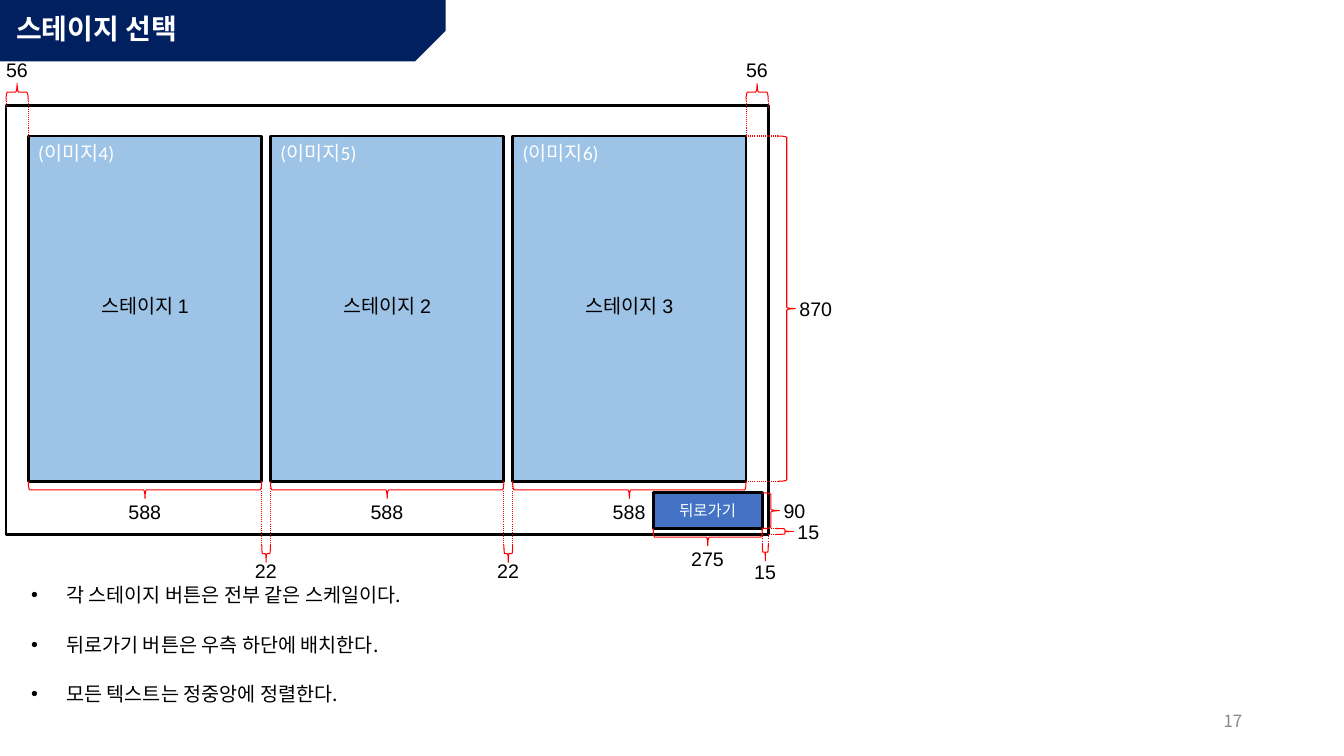
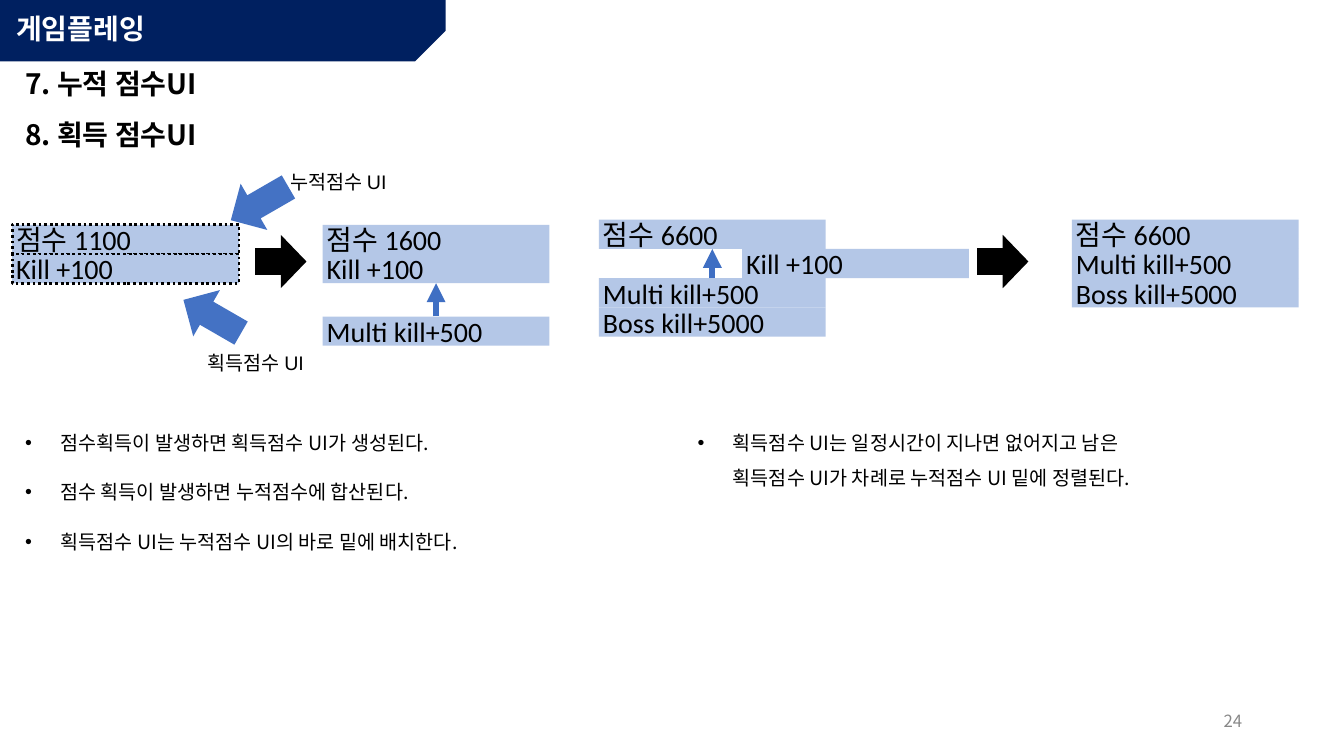
from lxml import etree
from pptx import Presentation, util as u
from pptx.dml.color import RGBColor
from pptx.enum import dml, shapes, text
from pptx.oxml.ns import qn

NAVY, BLUE, SKY, PALE = "002060", "4472C4", "9DC3E6", "B4C7E7"
BLACK, WHITE, RED, GRAY, ARROW = "000000", "FFFFFF", "FF0000", "888888", "3F6FC3"
KOREAN = "Noto Sans CJK KR"
KIND = shapes.MSO_SHAPE
LEFT, CENTER, RIGHT = text.PP_ALIGN.LEFT, text.PP_ALIGN.CENTER, text.PP_ALIGN.RIGHT
TOP, MIDDLE = text.MSO_ANCHOR.TOP, text.MSO_ANCHOR.MIDDLE

SCREEN_W, SCREEN_H = 1920, 1080
SCREEN_X, SCREEN_Y = 0.06, 1.05
PIXEL = 7.56 / SCREEN_W
MARGIN, CARD_W, CARD_H, GAP, CARD_TOP = 56, 588, 870, 22, 76
BACK_W, BACK_H, BACK_GAP = 275, 90, 15
STEP = CARD_W + GAP
CARD_BOTTOM = CARD_TOP + CARD_H
CARDS_RIGHT = SCREEN_W - MARGIN
BACK_RIGHT, BACK_BOTTOM = SCREEN_W - BACK_GAP, SCREEN_H - BACK_GAP
DEPTH = 0.17

CARDS = [("(이미지4)", "스테이지 1"), ("(이미지5)", "스테이지 2"), ("(이미지6)", "스테이지 3")]
STAGE_NOTES = ["각 스테이지 버튼은 전부 같은 스케일이다.",
               "뒤로가기 버튼은 우측 하단에 배치한다.",
               "모든 텍스트는 정중앙에 정렬한다."]

# side, start, length, base, guide targets, label gap
DIMENSIONS = [
    ("up", 0, MARGIN, -13, (5, CARD_TOP), 0.01),
    ("up", CARDS_RIGHT, MARGIN, -13, (CARD_TOP, 5), 0.01),
    ("right", CARD_TOP, CARD_H, 1945, (CARDS_RIGHT, CARDS_RIGHT), 0),
    ("right", BACK_BOTTOM - BACK_H, BACK_H, BACK_RIGHT, (), 0),
    ("right", BACK_BOTTOM, BACK_GAP, 1940, (BACK_RIGHT, SCREEN_W), 0),
    ("down", BACK_RIGHT - BACK_W, BACK_W, BACK_BOTTOM, (), 0.01),
    ("down", BACK_RIGHT, BACK_GAP, 1103, (BACK_BOTTOM, SCREEN_H), -0.01),
]
DIMENSIONS += [("down", MARGIN + i * STEP, CARD_W, CARD_BOTTOM, (), 0.01) for i in range(3)]
DIMENSIONS += [("down", MARGIN + CARD_W + i * STEP, GAP, 1107,
                (CARD_BOTTOM, CARD_BOTTOM), -0.03) for i in range(2)]

ROW_W, ROW_H = 2.25, 0.29
SCORES = [
    (0.12, 2.23, ["점수 1100", "Kill +100"], True),
    (3.2, 2.23, ["점수 1600", "Kill +100"], False),
    (3.2, 3.14, ["Multi kill+500"], False),
    (5.94, 2.18, ["점수 6600"], False),
    (7.36, 2.47, ["Kill +100"], False),
    (5.94, 2.76, ["Multi kill+500", "Boss kill+5000"], False),
    (10.63, 2.18, ["점수 6600", "Multi kill+500", "Boss kill+5000"], False),
]
RISES = [(2, 1), (5, 3)]
NEXT_ARROWS = [2.53, 9.69]
POINTERS = [(2.31, 1.69, 60, 2.78, 1.64, "누적점수 UI"),
            (1.84, 2.81, 120, 1.96, 3.43, "획득점수 UI")]
HEADINGS = [(0.44, "7. 누적 점수UI"), (0.95, "8. 획득 점수UI")]
SCORE_NOTES = [
    (0, ["점수획득이 발생하면 획득점수 UI가 생성된다.",
         "점수 획득이 발생하면 누적점수에 합산된다.",
         "획득점수 UI는 누적점수 UI의 바로 밑에 배치한다."]),
    (6.67, ["획득점수 UI는 일정시간이 지나면 없어지고 남은 획득점수 UI가 차례로 "
            "누적점수 UI 밑에 정렬된다."]),
]


def color(value):
    return RGBColor.from_string(value)


def inches(*values):
    return [u.Inches(value) for value in values]


def write(part, words, size=14, font="Arial", ink=BLACK, bold=False, align=LEFT, anchor=TOP,
          inset=(0.1, 0.05), wrap=True, spacing=1, indent=0, bullet=False):
    frame = part.text_frame
    frame.word_wrap = wrap
    frame.auto_size = text.MSO_AUTO_SIZE.NONE
    frame.vertical_anchor = anchor
    frame.margin_left = frame.margin_right = u.Inches(inset[0])
    frame.margin_top = frame.margin_bottom = u.Inches(inset[1])
    for i, line in enumerate([words] if isinstance(words, str) else words):
        para = frame.paragraphs[0] if i == 0 else frame.add_paragraph()
        para.alignment, para.line_spacing = align, spacing
        para.space_before = u.Pt(10 if i else 0)
        props = para._p.get_or_add_pPr()
        if indent:
            props.set("marL", str(u.Inches(indent)))
        if bullet:
            props.set("indent", str(u.Inches(-0.35)))
            etree.SubElement(props, qn("a:buFont")).set("typeface", "Arial")
            etree.SubElement(props, qn("a:buChar")).set("char", "•")
        run = para.add_run()
        run.text = line
        run.font.size, run.font.name, run.font.bold = u.Pt(size), font, bold
        run.font.color.rgb = color(ink)
        etree.SubElement(run._r.get_or_add_rPr(), qn("a:ea")).set("typeface", KOREAN)


def label(slide, x, y, w, h, words, **style):
    write(slide.shapes.add_textbox(*inches(x, y, w, h)), words, **style)


def notes(slide, x, y, w, h, lines):
    label(slide, x, y, w, h, lines, font=KOREAN, spacing=1.5, indent=0.5, bullet=True)


def shape(slide, kind, x, y, w, h, fill=None, line=None, width=2, dash=None, turn=0):
    part = slide.shapes.add_shape(kind, *inches(x, y, w, h))
    part.shadow.inherit = False
    part.rotation = turn
    if fill:
        part.fill.solid()
        part.fill.fore_color.rgb = color(fill)
    else:
        part.fill.background()
    if line:
        part.line.color.rgb = color(line)
        part.line.width = u.Pt(width)
        part.line.dash_style = dash
    else:
        part.line.fill.background()
    return part


def connector(slide, start, end, ink, width):
    link = slide.shapes.add_connector(shapes.MSO_CONNECTOR.STRAIGHT, *inches(*start, *end))
    link.line.color.rgb = color(ink)
    link.line.width = u.Pt(width)
    etree.SubElement(link._element.spPr, qn("a:effectLst"))
    return link


def add_band(layout, slide):
    band = shape(slide, KIND.SNIP_1_RECTANGLE, 0, 0, 4.42, 0.61, fill=NAVY, turn=180)
    band.adjustments[0] = 0.5
    band._element.spPr.find(qn("a:xfrm")).set("flipH", "1")
    band._element.nvSpPr.cNvPr.set("id", "99")
    layout.shapes._spTree.insert(2, band._element)


def new_slide(deck, layout, title, number):
    slide = deck.slides.add_slide(layout)
    heading = slide.shapes.title
    heading.left, heading.top, heading.width, heading.height = inches(0.06, 0.07, 4.03, 0.46)
    write(heading, title, size=20, font=KOREAN, ink=WHITE, bold=True, anchor=MIDDLE, spacing=0.9)
    label(slide, 9.42, 6.95, 3, 0.4, number, size=12, font=KOREAN, ink=GRAY,
          align=RIGHT, anchor=MIDDLE)
    return slide


def on_screen(x, y):
    return SCREEN_X + x * PIXEL, SCREEN_Y + y * PIXEL


def screen_box(slide, x, y, w, h, fill=None):
    return shape(slide, KIND.RECTANGLE, *on_screen(x, y), w * PIXEL, h * PIXEL, fill, BLACK)


def dimension(slide, side, start, length, base, targets, gap):
    span = length * PIXEL
    number = str(length)
    w, h = 0.08 + 0.11 * len(number), 0.24
    if side == "right":
        x, y = on_screen(base, start + length / 2)
        center, turn = (x + DEPTH / 2, y), 0
        corner = x + DEPTH + gap, y - h / 2
    else:
        way = 1 if side == "down" else -1
        x, y = on_screen(start + length / 2, base)
        center, turn = (x, y + way * DEPTH / 2), 90 * way % 360
        middle = y + way * (DEPTH + gap + h / 2)
        corner = x - w / 2, middle - h / 2
    shape(slide, KIND.RIGHT_BRACE, center[0] - DEPTH / 2, center[1] - span / 2, DEPTH, span,
          line=RED, width=0.75, turn=turn)
    label(slide, *corner, w, h, number, inset=(0.04, 0), wrap=False)
    for edge, target in zip((start, start + length), targets):
        ends = [(edge, base), (edge, target)]
        if side == "right":
            ends = [(far, near) for near, far in ends]
        guide = connector(slide, on_screen(*ends[0]), on_screen(*ends[1]), RED, 0.75)
        guide.line.dash_style = dml.MSO_LINE.ROUND_DOT


def stage_slide(slide):
    screen_box(slide, 0, 0, SCREEN_W, SCREEN_H)
    for i, (image, stage) in enumerate(CARDS):
        left = MARGIN + i * STEP
        card = screen_box(slide, left, CARD_TOP, CARD_W, CARD_H, SKY)
        write(card, image, font="Calibri", ink=WHITE)
        x, y = on_screen(left + CARD_W / 2, CARD_TOP + CARD_H / 2)
        label(slide, x - 0.72, y - 0.2, 1.44, 0.4, stage, align=CENTER, wrap=False)
    back = screen_box(slide, BACK_RIGHT - BACK_W, BACK_BOTTOM - BACK_H, BACK_W, BACK_H, BLUE)
    write(back, "뒤로가기", size=11, font="Calibri", ink=WHITE, align=CENTER,
          anchor=MIDDLE, inset=(0, 0))
    for entry in DIMENSIONS:
        dimension(slide, *entry)
    notes(slide, 0.06, 5.62, 13.17, 1.7, STAGE_NOTES)


def score_slide(slide):
    stacks = []
    for x, y, lines, dotted in SCORES:
        rows = []
        for i, line in enumerate(lines):
            row = shape(slide, KIND.RECTANGLE, x, y + i * ROW_H, ROW_W, ROW_H, PALE,
                        BLACK if dotted else None, dash=dml.MSO_LINE.ROUND_DOT)
            write(row, line, size=20, font="Calibri", anchor=MIDDLE, inset=(0.04, 0))
            rows.append(row)
        stacks.append(rows)
    for lower, upper in RISES:
        rise = connector(slide, (0, 0), (1, 1), ARROW, 4.5)
        rise.begin_connect(stacks[lower][0], 0)
        rise.end_connect(stacks[upper][-1], 2)
        etree.SubElement(rise.line._get_or_add_ln(), qn("a:tailEnd")).set("type", "triangle")
    for x in NEXT_ARROWS:
        shape(slide, KIND.RIGHT_ARROW, x, 2.33, 0.51, 0.53, BLACK)
    for x, y, turn, label_x, label_y, name in POINTERS:
        shape(slide, KIND.DOWN_ARROW, x, y, 0.53, 0.66, BLUE, turn=turn)
        label(slide, label_x, label_y, 1.24, 0.34, name, wrap=False)
    for y, heading in HEADINGS:
        label(slide, 0, y, 5.09, 0.82, heading, size=20, font=KOREAN, bold=True,
              spacing=1.5, indent=0.15)
    for x, lines in SCORE_NOTES:
        notes(slide, x, 4.11, 5.09, 1.93, lines)


def main():
    deck = Presentation()
    deck.slide_width, deck.slide_height = inches(13.33, 7.5)
    layout = deck.slide_layouts[5]
    stage = new_slide(deck, layout, "스테이지 선택", "17")
    add_band(layout, stage)
    stage_slide(stage)
    score_slide(new_slide(deck, layout, "게임플레잉", "24"))
    deck.save("out.pptx")


if __name__ == "__main__":
    main()
